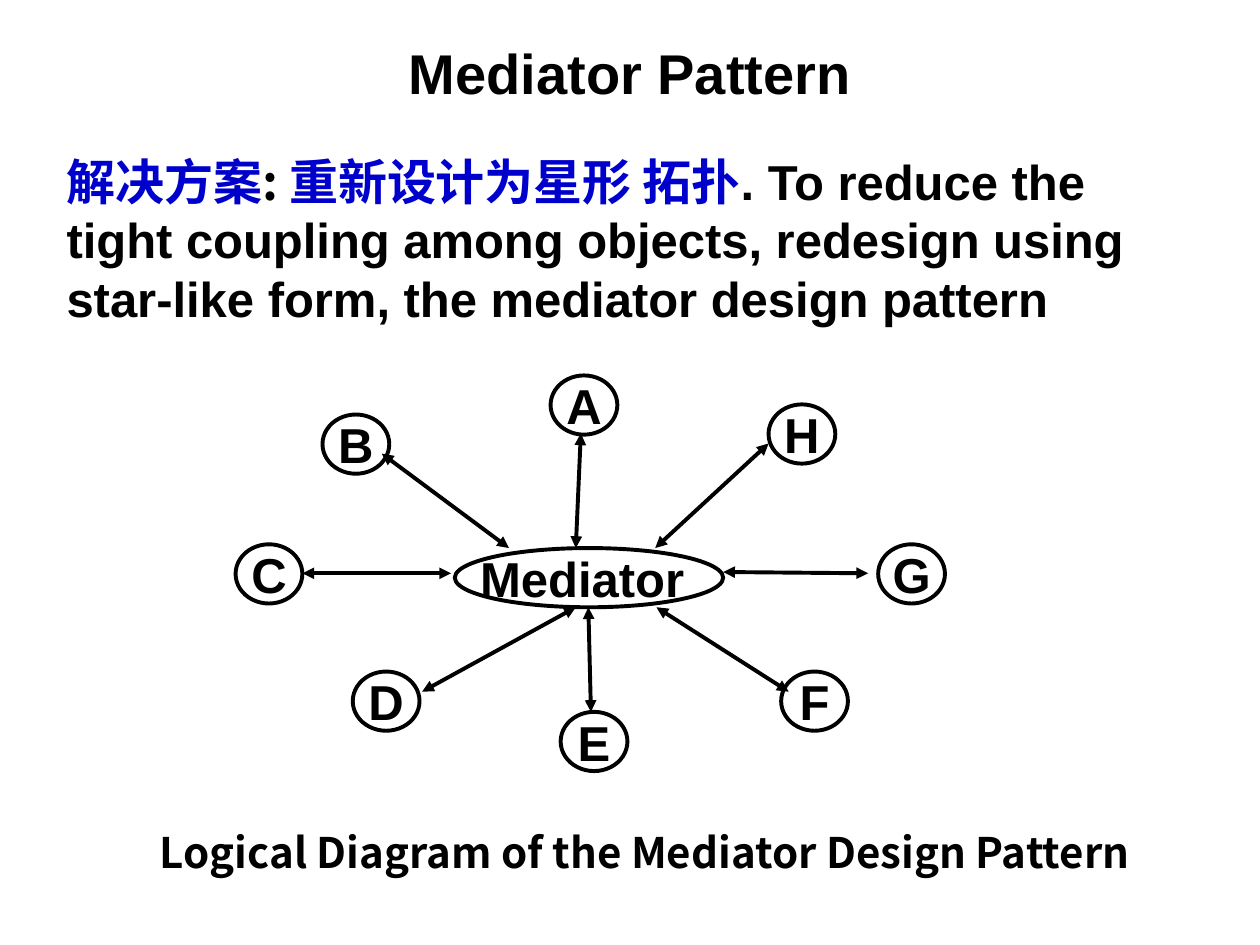
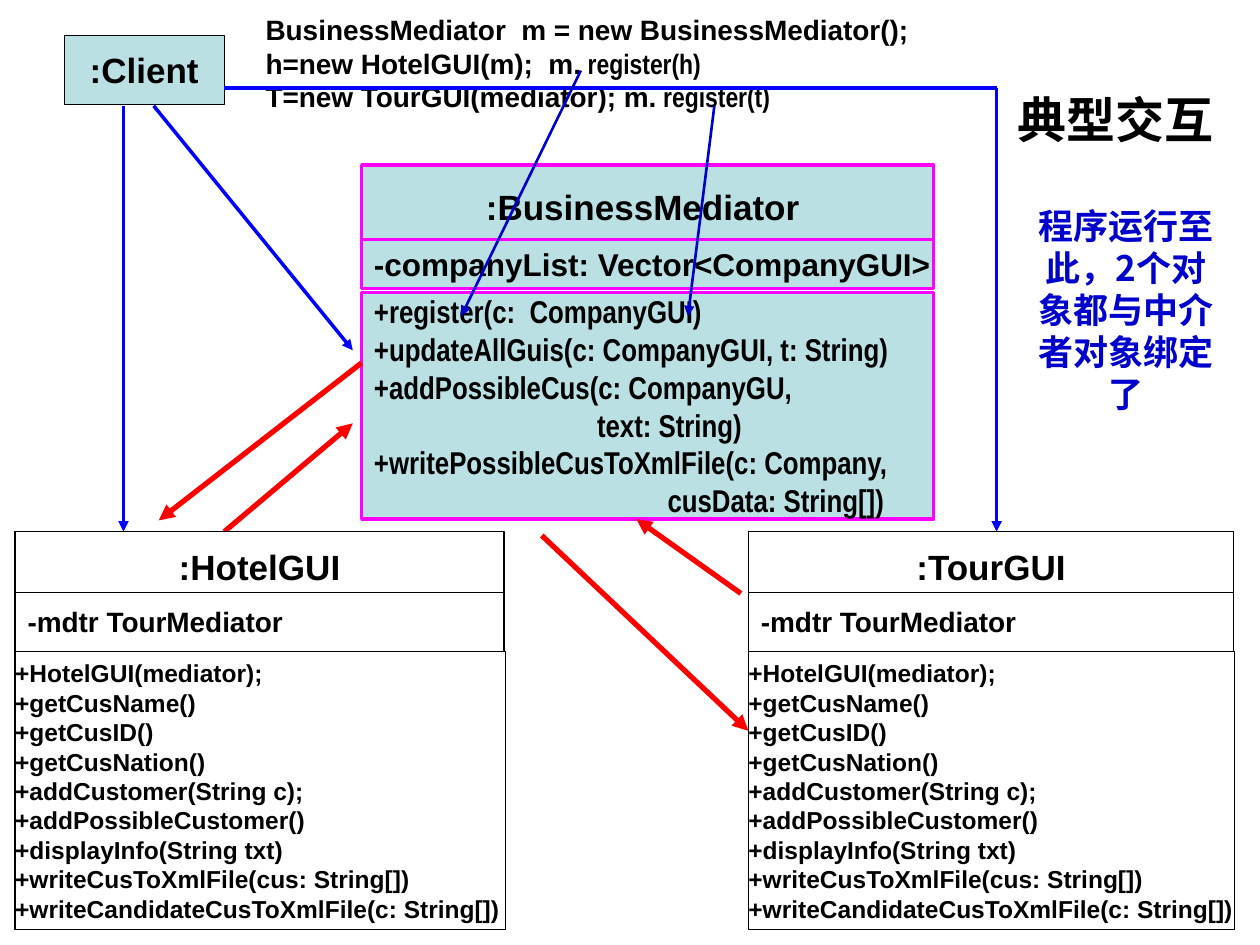
from lxml.etree import SubElement
from pptx import Presentation
from pptx.dml.color import RGBColor
from pptx.enum.shapes import MSO_CONNECTOR, MSO_SHAPE
from pptx.enum.text import MSO_ANCHOR, PP_ALIGN
from pptx.oxml.ns import qn
from pptx.util import Inches, Pt

BLACK, WHITE, TEAL = "000000", "FFFFFF", "BBE0E3"
NAVY, BLUE, RED, MAGENTA = "0000CC", "0000FF", "FF0000", "FF00FF"
ARIAL, NARROW, CHINESE = "Arial", "Arial Narrow", "Noto Sans CJK SC"
LEFT, CENTER = PP_ALIGN.LEFT, PP_ALIGN.CENTER


def add_box(slide, bounds, paragraphs, size, font=ARIAL, color=BLACK, align=CENTER,
            kind=None, fill=WHITE, line=BLACK, width=0.75, inset=0.1):
    bounds = [Inches(value) for value in bounds]
    if kind is None:
        shape = slide.shapes.add_textbox(*bounds)
    else:
        shape = slide.shapes.add_shape(kind, *bounds)
        shape.shadow.inherit = False
        shape.fill.solid()
        shape.fill.fore_color.rgb = RGBColor.from_string(fill)
        shape.line.color.rgb = RGBColor.from_string(line)
        shape.line.width = Pt(width)
    frame = shape.text_frame
    frame.word_wrap = kind is None
    frame.vertical_anchor = MSO_ANCHOR.TOP if kind is None else MSO_ANCHOR.MIDDLE
    frame.margin_left = frame.margin_right = Inches(inset)
    frame.margin_top = frame.margin_bottom = Inches(0.05)
    for index, runs in enumerate(paragraphs):
        paragraph = frame.add_paragraph() if index else frame.paragraphs[0]
        paragraph.alignment = align
        paragraph.line_spacing = Pt(size * 1.2)
        if isinstance(runs, str):
            runs = [(runs, font, color)]
        for text, run_font, run_color in runs:
            run = paragraph.add_run()
            run.text = text
            run.font.size = Pt(size)
            run.font.bold = True
            run.font.name = run_font
            run.font.color.rgb = RGBColor.from_string(run_color)
            SubElement(run.font._element, qn("a:ea"), typeface=CHINESE)
    return shape


def add_line(slide, points, color, width, head=False, tail=True):
    connector = slide.shapes.add_connector(
        MSO_CONNECTOR.STRAIGHT, *[Inches(value) for value in points])
    connector.line.color.rgb = RGBColor.from_string(color)
    connector.line.width = Pt(width)
    outline = connector.line._get_or_add_ln()
    if head:
        SubElement(outline, qn("a:headEnd"), type="triangle")
    if tail:
        SubElement(outline, qn("a:tailEnd"), type="triangle")
    SubElement(connector._element.spPr, qn("a:effectLst"))


presentation = Presentation()
presentation.slide_width = Inches(10)
presentation.slide_height = Inches(7.5)
blank = presentation.slide_layouts[6]

slide = presentation.slides.add_slide(blank)
title = add_box(slide, (0.5, 0.3, 9, 0.54), ["Mediator Pattern"], 32)
title.text_frame.vertical_anchor = MSO_ANCHOR.MIDDLE

colleagues = {
    "A": (4.37, 2.98), "B": (2.56, 3.29), "C": (1.87, 4.32), "D": (2.8, 5.33),
    "E": (4.45, 5.65), "F": (6.2, 5.33), "G": (6.97, 4.32), "H": (6.1, 3.21),
}
for name, (left, top) in colleagues.items():
    add_box(slide, (left, top, 0.53, 0.47), [name], 28, kind=MSO_SHAPE.OVAL, width=2.25)
add_box(slide, (3.61, 4.35, 2.13, 0.47), ["Mediator "], 28, kind=MSO_SHAPE.OVAL, width=2.25)

spokes = [
    (4.61, 3.44, 4.57, 4.35), (3.03, 3.6, 4.04, 4.35),
    (2.4, 4.55, 3.58, 4.55), (3.35, 5.49, 4.57, 4.82),
    (4.67, 4.82, 4.69, 5.65), (5.21, 4.82, 6.26, 5.49),
    (5.74, 4.54, 6.89, 4.55), (6.1, 3.52, 5.2, 4.35),
]
for spoke in spokes:
    add_line(slide, spoke, BLACK, 2.25, head=True)

add_box(slide, (0.9, 6.51, 8.43, 0.5),
        ["Logical Diagram of the Mediator Design Pattern"], 24, font=CHINESE)
solution = [
    ("解决方案", CHINESE, NAVY),
    (": ", CHINESE, BLACK),
    ("重新设计为星形 拓扑", CHINESE, NAVY),
    (". To reduce the tight coupling among objects, redesign using "
     "star-like form, the mediator design pattern", ARIAL, BLACK),
]
add_box(slide, (0.43, 1.15, 8.74, 1.5), [solution], 28, align=LEFT)

slide = presentation.slides.add_slide(blank)
mediator_style = dict(kind=MSO_SHAPE.RECTANGLE, fill=TEAL, line=MAGENTA, width=1.75)
add_box(slide, (2.87, 1.31, 4.54, 0.66), [":BusinessMediator "], 20, **mediator_style)
add_box(slide, (2.87, 1.9, 4.54, 0.39), ["-companyList: Vector<CompanyGUI>"], 18,
        align=LEFT, **mediator_style)
mediator_methods = [
    "+register(c:  CompanyGUI)",
    "+updateAllGuis(c: CompanyGUI, t: String)",
    "+addPossibleCus(c: CompanyGU,",
    "text: String)",
    "+writePossibleCusToXmlFile(c: Company,",
    "cusData: String[])",
]
methods_box = add_box(slide, (2.87, 2.32, 4.54, 1.8), mediator_methods, 18, font=NARROW,
                      align=LEFT, **mediator_style)
for index, indent in ((3, 1.77), (5, 2.33)):
    paragraph = methods_box.text_frame.paragraphs[index]
    paragraph._p.get_or_add_pPr().set("marL", str(Inches(indent)))

messages = [
    (2.87, 2.88, 1.26, 4.13), (1.78, 4.22, 2.8, 3.36),
    (4.3, 4.25, 5.94, 5.8), (5.88, 4.71, 5.05, 4.12),
]
for message in messages:
    add_line(slide, message, RED, 3)

add_box(slide, (7.91, 0.66, 1.89, 0.57), ["典型交互"], 28, font=CHINESE)
add_box(slide, (0.51, 0.28, 1.27, 0.55), [":Client"], 20,
        kind=MSO_SHAPE.RECTANGLE, fill=TEAL)
client_code = [
    "BusinessMediator  m = new BusinessMediator();",
    [("h=new HotelGUI(m);  m.", ARIAL, BLACK), (" register(h)", NARROW, BLACK)],
    [("T=new TourGUI(mediator); m.", ARIAL, BLACK), (" register(t)", NARROW, BLACK)],
]
add_box(slide, (2.01, 0.05, 7.56, 0.9), client_code, 16, align=LEFT)

add_line(slide, (1.78, 0.7, 7.91, 0.7), BLUE, 2, tail=False)
for creation in [(1.22, 0.84, 2.8, 2.78), (0.98, 0.84, 0.98, 4.22), (7.91, 0.7, 7.91, 4.22)]:
    add_line(slide, creation, BLUE, 2)

gui_methods = [
    "+HotelGUI(mediator);",
    "+getCusName()",
    "+getCusID()",
    "+getCusNation()",
    "+addCustomer(String c);",
    "+addPossibleCustomer()",
    "+displayInfo(String txt)",
    "+writeCusToXmlFile(cus: String[])",
    "+writeCandidateCusToXmlFile(c: String[])",
]
for name, left, width in ((":HotelGUI", 0.12, 3.88), (":TourGUI", 5.94, 3.85)):
    add_box(slide, (left, 4.22, width, 0.55), [name], 20, kind=MSO_SHAPE.RECTANGLE)
    add_box(slide, (left, 4.7, width, 0.47), ["-mdtr TourMediator"], 16, align=LEFT,
            kind=MSO_SHAPE.RECTANGLE)
    add_box(slide, (left, 5.17, width + 0.01, 2.21), gui_methods, 14, align=LEFT,
            kind=MSO_SHAPE.RECTANGLE, inset=0)

for registration in [(4.61, 0.56, 3.66, 2.51), (5.67, 0.84, 5.46, 2.51)]:
    add_line(slide, registration, NAVY, 1.5)
add_box(slide, (8.07, 1.57, 1.73, 1.77), ["程序运行至此，2个对象都与中介者对象绑定了"], 20,
        font=CHINESE, color=NAVY)

presentation.save("out.pptx")
